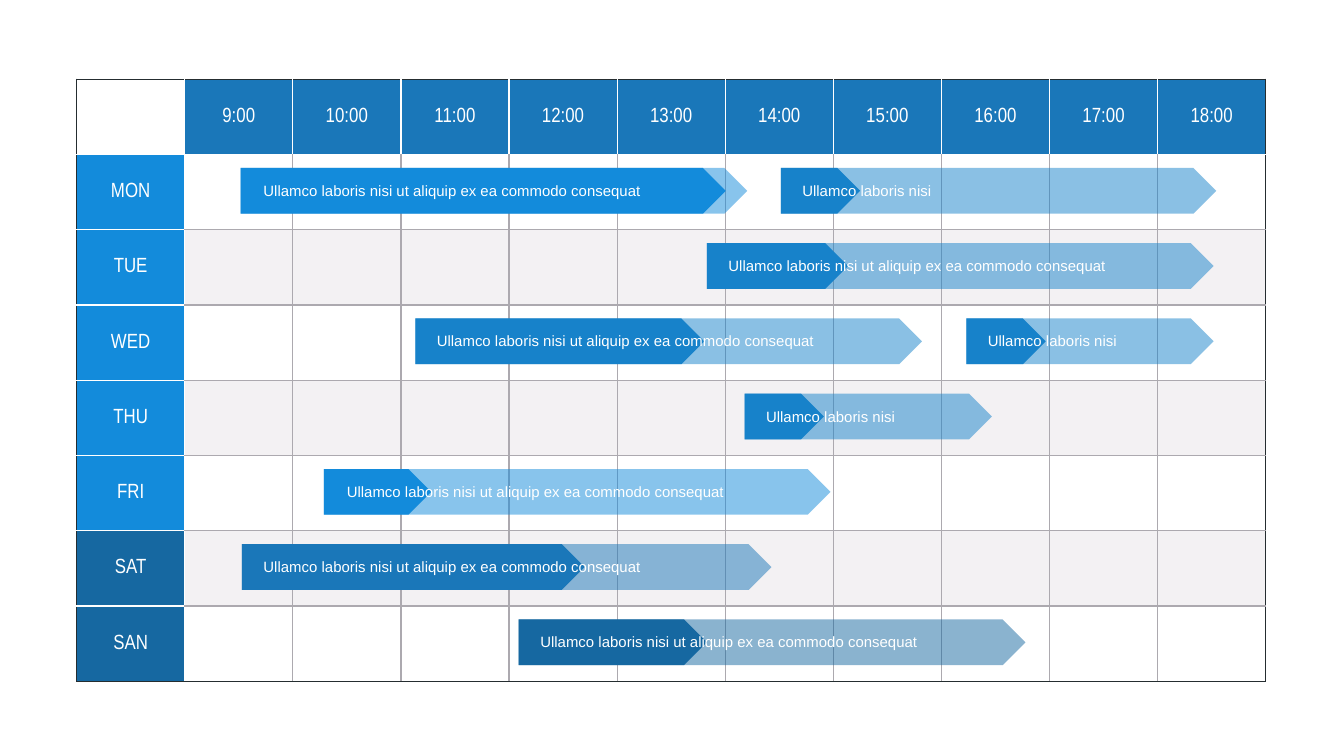
from pptx import Presentation
from pptx.dml.color import RGBColor
from pptx.enum.shapes import MSO_SHAPE as Shape
from pptx.enum.text import MSO_ANCHOR as Anchor, PP_ALIGN as Align
from pptx.oxml.ns import qn
from pptx.util import Inches, Pt
from lxml.etree import SubElement

PAGE_WIDTH = 10
PAGE_HEIGHT = PAGE_WIDTH * 9 / 16
LEFT, TOP = 0.57, 0.59
TABLE_WIDTH, ROW_HEIGHT = 8.85, 0.56
BAR_HEIGHT = 0.34
WHITE, INK, GREY, STRIPE = "FFFFFF", "252D30", "ACA9AF", "E8E5E9"
HEADER, BRIGHT, MEDIUM, DEEP = "1A77B9", "138BDB", "1782CA", "1668A1"

HOURS = [f"{hour}:00" for hour in range(9, 19)]
DAYS = ["MON", "TUE", "WED", "THU", "FRI", "SAT", "SAN"]
WEEKEND = ("SAT", "SAN")
ROW_COUNT, COLUMN_COUNT = len(DAYS) + 1, len(HOURS) + 1
SHORT = "Ullamco laboris nisi"
LONG = SHORT + " ut aliquip ex ea commodo consequat"

# day, left, full width, done width, colour, label
TASKS = [
    ("TUE", 5.26, 3.77, 1.05, MEDIUM, LONG),
    ("MON", 1.79, 3.77, 3.61, BRIGHT, LONG),
    ("SAT", 1.8, 3.94, 2.55, HEADER, LONG),
    ("SAN", 3.86, 3.77, 1.4, DEEP, LONG),
    ("WED", 3.09, 3.77, 2.15, MEDIUM, LONG),
    ("WED", 7.19, 1.84, 0.59, MEDIUM, SHORT),
    ("MON", 5.81, 3.24, 0.59, MEDIUM, SHORT),
    ("FRI", 2.41, 3.77, 0.8, BRIGHT, LONG),
    ("THU", 5.54, 1.84, 0.59, MEDIUM, SHORT),
]


def rgb(color):
    return RGBColor.from_string(color)


def set_fill(fill, color, alpha=100):
    fill.solid()
    fill.fore_color.rgb = rgb(color)
    if alpha < 100:
        tint = fill._xPr.find(qn("a:solidFill")).find(qn("a:srgbClr"))
        SubElement(tint, qn("a:alpha"), val=str(alpha * 1000))


def set_margins(item):
    item.margin_left = item.margin_right = Inches(0.04)
    item.margin_top = item.margin_bottom = Inches(0.02)


def set_text(para, text, size, font):
    para.text = text
    para.font.size = Pt(size)
    para.font.name = font
    para.font.color.rgb = rgb(WHITE)


def edge_color(edge, edge_count, lane):
    """Ink outside, white beside the headings, grey between the slots."""
    if edge in (0, edge_count):
        return INK
    return WHITE if edge == 1 or lane == 0 else GREY


def set_borders(cell, row, column):
    colors = {
        "a:lnL": edge_color(column, COLUMN_COUNT, row),
        "a:lnR": edge_color(column + 1, COLUMN_COUNT, row),
        "a:lnT": edge_color(row, ROW_COUNT, column),
        "a:lnB": edge_color(row + 1, ROW_COUNT, column),
    }
    properties = cell._tc.get_or_add_tcPr()
    for tag, color in colors.items():
        line = SubElement(properties, qn(tag), w=str(Pt(0.75)))
        solid = SubElement(line, qn("a:solidFill"))
        SubElement(solid, qn("a:srgbClr"), val=color)


def fill_heading(cell, text, color):
    set_fill(cell.fill, color)
    set_margins(cell)
    cell.vertical_anchor = Anchor.MIDDLE
    para = cell.text_frame.paragraphs[0]
    set_text(para, text, 11, "Arial Narrow")
    para.alignment = Align.CENTER


def add_timetable(page):
    table = page.shapes.add_table(
        ROW_COUNT, COLUMN_COUNT, Inches(LEFT), Inches(TOP),
        Inches(TABLE_WIDTH), Inches(ROW_COUNT * ROW_HEIGHT)).table
    table.first_row = table.horz_banding = False
    for row in range(ROW_COUNT):
        for column in range(COLUMN_COUNT):
            cell = table.cell(row, column)
            set_borders(cell, row, column)
            if row == 0 and column > 0:
                fill_heading(cell, HOURS[column - 1], HEADER)
            elif row > 0 and column == 0:
                day = DAYS[row - 1]
                fill_heading(cell, day, DEEP if day in WEEKEND else BRIGHT)
            elif row > 0 and row % 2 == 0:
                set_fill(cell.fill, STRIPE, 50)
            else:
                cell.fill.background()


def add_bar(group, left, top, width, color, alpha=100):
    bar = group.shapes.add_shape(Shape.PENTAGON, Inches(left), Inches(top),
                                 Inches(width), Inches(BAR_HEIGHT))
    bar.shadow.inherit = False
    bar.line.fill.background()
    set_fill(bar.fill, color, alpha)


def add_label(group, left, top, text):
    box = group.shapes.add_textbox(Inches(left), Inches(top),
                                   Inches(3.11 if text == LONG else 1.43), Inches(0.18))
    frame = box.text_frame
    frame.word_wrap = True
    set_margins(frame)
    set_text(frame.paragraphs[0], text, 8, "Arial")


def add_task(page, day, left, width, done, color, text):
    top = TOP + (DAYS.index(day) + 1) * ROW_HEIGHT + 0.1
    group = page.shapes.add_group_shape()
    add_bar(group, left, top, width, color, 50)
    add_bar(group, left, top, done, color)
    add_label(group, left + (0.13 if color == BRIGHT else 0.12), top + 0.08, text)


def main():
    deck = Presentation()
    deck.slide_width, deck.slide_height = Inches(PAGE_WIDTH), Inches(PAGE_HEIGHT)
    page = deck.slides.add_slide(deck.slide_layouts[6])
    add_timetable(page)
    for task in TASKS:
        add_task(page, *task)
    deck.save("out.pptx")


if __name__ == "__main__":
    main()
